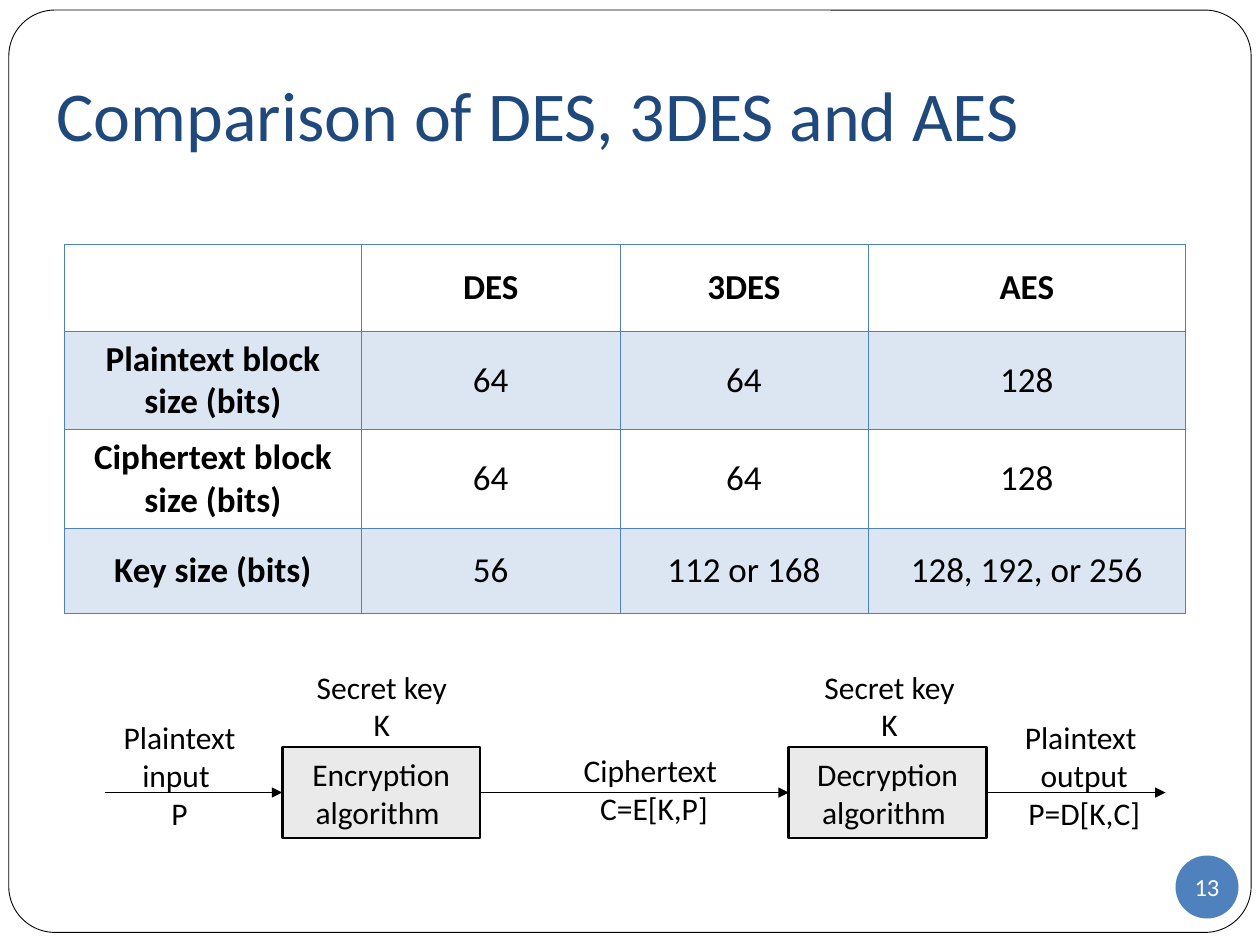
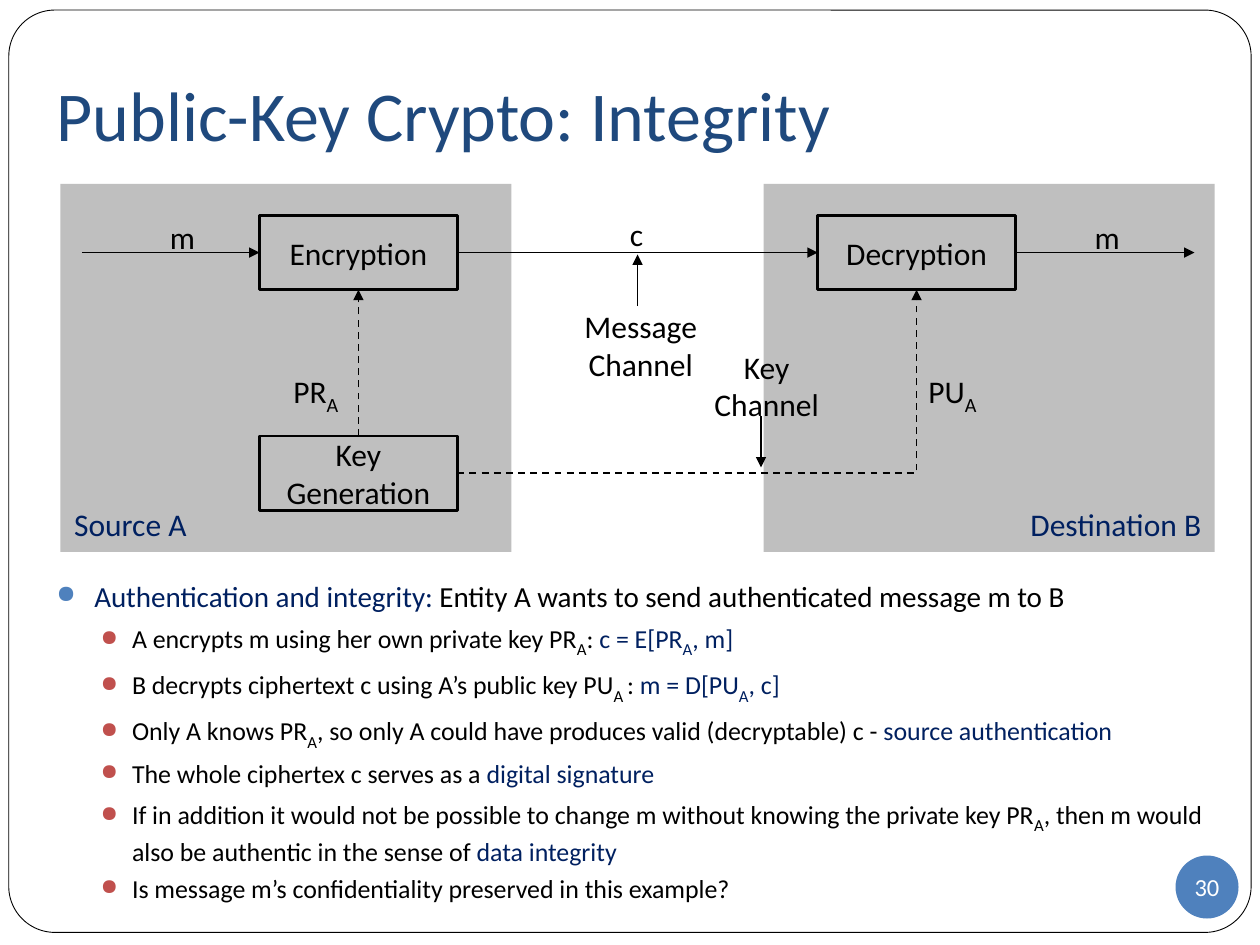
from dataclasses import dataclass
from itertools import product

from lxml import etree
from pptx import Presentation
from pptx import util as u
from pptx.dml.color import RGBColor
from pptx.enum import dml, shapes, text
from pptx.oxml import ns

BLACK = RGBColor(0x00, 0x00, 0x00)
WHITE = RGBColor(0xFF, 0xFF, 0xFF)
TITLE_BLUE = RGBColor(0x1F, 0x49, 0x7D)
BLUE = RGBColor(0x4F, 0x81, 0xBD)
PALE_BLUE = RGBColor(0xDC, 0xE6, 0xF2)
NAVY = RGBColor(0x00, 0x20, 0x60)
RED = RGBColor(0xC0, 0x50, 0x4D)
GRAY = RGBColor(0xBF, 0xBF, 0xBF)
LIGHT_GRAY = RGBColor(0xEA, 0xEA, 0xEA)

FONT = "Calibri"
COLUMNS, ROWS = 100, 75
LEFT, CENTER = text.PP_ALIGN.LEFT, text.PP_ALIGN.CENTER
TOP, LEFT_SIDE, BOTTOM, RIGHT_SIDE = range(4)


@dataclass
class Run:
    words: str
    color: RGBColor = BLACK
    sub: bool = False


def sub(words, color=BLACK):
    return Run(words, color, True)


def navy(words):
    return Run(words, NAVY)


def add_xml(parent, tag, **attributes):
    return etree.SubElement(parent, ns.qn(tag), attributes)


class Deck:
    """Holds the style, the grid and the current slide."""

    def __init__(self):
        self.prs = Presentation()
        self.prs.slide_width, self.prs.slide_height = u.Inches(10), u.Inches(7.5)
        self.slide = None

    def grid(self, x, y, *size):
        """Turn columns and rows into slide lengths."""
        units = (self.prs.slide_width / COLUMNS, self.prs.slide_height / ROWS) * 2
        return [u.Emu(round(n * unit)) for n, unit in zip((x, y, *size), units)]

    def new_slide(self, heading, number):
        self.slide = self.prs.slides.add_slide(self.prs.slide_layouts[5])
        title = self.slide.shapes.title
        title.left, title.top, title.width, title.height = self.grid(3.5, 3, 93.7, 12.5)
        frame = title.text_frame
        frame.vertical_anchor = text.MSO_ANCHOR.MIDDLE
        frame.auto_size = text.MSO_AUTO_SIZE.NONE
        frame.margin_bottom = u.Inches(0.1)
        self.add_runs(frame.paragraphs[0], [Run(heading, TITLE_BLUE)], 40, LEFT)

        border = self.shape((0.7, 0.8, 98.6, 73.2), WHITE, 0.5,
                            kind=shapes.MSO_SHAPE.ROUNDED_RECTANGLE)
        border.adjustments[0] = 0.05
        title.element.addprevious(border.element)

        badge = self.shape((93.3, 67.9, 5, 5), BLUE, kind=shapes.MSO_SHAPE.OVAL)
        badge.text_frame.word_wrap = False
        self.add_runs(badge.text_frame.paragraphs[0], [Run(number, WHITE)], 14)

    def add_runs(self, paragraph, runs, size=18, align=CENTER, bold=False):
        paragraph.alignment = align
        for part in runs:
            run = paragraph.add_run()
            run.text = part.words
            font = run.font
            font.name, font.bold = FONT, bold
            font.color.rgb = part.color
            font.size = u.Pt(size)
            if part.sub:
                font.size = u.Pt(size + 1.8)
                run._r.get_or_add_rPr().set("baseline", "-25000")

    def shape(self, area, fill=None, line=None, kind=shapes.MSO_SHAPE.RECTANGLE):
        item = self.slide.shapes.add_shape(kind, *self.grid(*area))
        item.shadow.inherit = False
        if fill is None:
            item.fill.background()
        else:
            item.fill.solid()
            item.fill.fore_color.rgb = fill
        if line is None:
            item.line.fill.background()
        else:
            item.line.color.rgb = BLACK
            item.line.width = u.Pt(line)
        return item

    def box(self, words, x, y, height, fill=None):
        item = self.shape((x, y, 15.7, height), fill, 1.5)
        item.text_frame.word_wrap = True
        item.text_frame.vertical_anchor = text.MSO_ANCHOR.MIDDLE
        self.add_runs(item.text_frame.paragraphs[0], [Run(words)])
        return item

    def label(self, area, *lines, align=CENTER, wrap=False):
        """Each line is a list of runs, or plain words."""
        frame = self.slide.shapes.add_textbox(*self.grid(*area)).text_frame
        frame.word_wrap = wrap
        frame.auto_size = text.MSO_AUTO_SIZE.SHAPE_TO_FIT_TEXT
        for i, line in enumerate(lines):
            paragraph = frame.add_paragraph() if i else frame.paragraphs[0]
            runs = [Run(line)] if isinstance(line, str) else line
            self.add_runs(paragraph, runs, align=align)

    def arrow(self, start, end, width=1.0, dashed=False, corner=False):
        """Each end is a grid point or a pair of shape and side."""
        kind = shapes.MSO_CONNECTOR.ELBOW if corner else shapes.MSO_CONNECTOR.STRAIGHT
        points = [(0, 0) if hasattr(p[0], "shape_id") else self.grid(*p)
                  for p in (start, end)]
        item = self.slide.shapes.add_connector(kind, *points[0], *points[1])
        if hasattr(start[0], "shape_id"):
            item.begin_connect(*start)
        if hasattr(end[0], "shape_id"):
            item.end_connect(*end)
        if corner:
            item.element.spPr.find(ns.qn("a:prstGeom")).set("prst", "bentConnector2")
        item.line.color.rgb = BLACK
        item.line.width = u.Pt(width)
        if dashed:
            item.line.dash_style = dml.MSO_LINE.DASH
        add_xml(item.line._get_or_add_ln(), "a:tailEnd", type="triangle")
        add_xml(item.element.spPr, "a:effectLst")

    def table(self, corner, widths, heights, rows):
        area = (*corner, sum(widths), sum(heights))
        table = self.slide.shapes.add_table(
            len(heights), len(widths), *self.grid(*area)).table
        table.first_row = table.horz_banding = False
        for column, width in zip(table.columns, widths):
            column.width = self.grid(width, 0)[0]
        for row, height in zip(table.rows, heights):
            row.height = self.grid(0, height)[1]
        for r, c in product(range(len(heights)), range(len(widths))):
            cell = table.cell(r, c)
            cell.vertical_anchor = text.MSO_ANCHOR.MIDDLE
            self.cell_borders(cell)
            if r % 2:
                cell.fill.solid()
                cell.fill.fore_color.rgb = PALE_BLUE
            else:
                cell.fill.background()
            if rows[r][c]:
                self.add_runs(cell.text_frame.paragraphs[0], [Run(rows[r][c])], 20,
                              bold=r == 0 or c == 0)

    def cell_borders(self, cell):
        for side in "LRTB":
            edge = add_xml(cell._tc.get_or_add_tcPr(), f"a:ln{side}",
                           w=str(u.Pt(0.45)))
            add_xml(add_xml(edge, "a:solidFill"), "a:srgbClr", val=str(BLUE))

    def bullets(self, area, items):
        """The first item leads; the others sit one level lower."""
        frame = self.slide.shapes.add_textbox(*self.grid(*area)).text_frame
        frame.word_wrap = True
        for i, runs in enumerate(items):
            paragraph = frame.add_paragraph() if i else frame.paragraphs[0]
            left, hang, color, size = (0.6, 0.25, RED, 14.8) if i else (0.3, 0.3, BLUE, 16.6)
            props = paragraph._p.get_or_add_pPr()
            props.set("marL", str(u.Inches(left)))
            props.set("indent", str(-u.Inches(hang)))
            add_xml(add_xml(props, "a:buClr"), "a:srgbClr", val=str(color))
            add_xml(props, "a:buSzPct", val="85000")
            add_xml(props, "a:buChar", char="●")
            if i:
                paragraph.level = 1
                paragraph.space_before = u.Pt(3.7)
            self.add_runs(paragraph, runs, size, LEFT)


def comparison_slide(deck):
    deck.new_slide("Comparison of DES, 3DES and AES", "13")
    deck.table((5.1, 19.4), (23.6, 20.5, 19.7, 25.2), (6.9, 7.8, 7.8, 6.8), [
        ("", "DES", "3DES", "AES"),
        ("Plaintext block size (bits)", "64", "64", "128"),
        ("Ciphertext block size (bits)", "64", "64", "128"),
        ("Key size (bits)", "56", "112 or 168", "128, 192, or 256"),
    ])

    # Symmetric cipher flow
    flow_y = 62.9
    encryption, decryption = [
        deck.box(f"{name} algorithm ", x, flow_y - 3.6, 7.2, LIGHT_GRAY)
        for name, x in (("Encryption", 22.4), ("Decryption", 62.6))]
    deck.arrow((8.3, flow_y), (encryption, LEFT_SIDE), 0.75)
    deck.arrow((encryption, RIGHT_SIDE), (decryption, LEFT_SIDE), 0.75)
    deck.arrow((decryption, RIGHT_SIDE), (92.5, flow_y), 0.75)
    deck.label((8.8, 56.5, 10.9, 10), "Plaintext", "input ", "P")
    deck.label((45.3, 59.1, 13.2, 7), "Ciphertext ", "C=E[K,P]")
    deck.label((80.3, 56.5, 11.5, 10), "Plaintext ", "output", "P=D[K,C]")
    for key_x in (23.2, 63.5):
        deck.label((key_x, 52.5, 14.2, 7), "Secret key", "K", wrap=True)


def integrity_slide(deck):
    deck.new_slide("Public-Key Crypto: Integrity", "30")
    deck.bullets((3.5, 45.4, 93.7, 26.8), [
        [navy("Authentication and integrity: "),
         Run("Entity A wants to send authenticated message m to B")],
        [Run("A encrypts m using her own private key PR"), sub("A"), Run(": "),
         navy("c = E[PR"), sub("A", NAVY), navy(", m]")],
        [Run("B decrypts ciphertext c using A’s public key PU"), sub("A "), Run(": "),
         navy("m = D[PU"), sub("A", NAVY), navy(", c]")],
        [Run("Only A knows PR"), sub("A"),
         Run(", so only A could have produces valid (decryptable) c - "),
         navy("source authentication")],
        [Run("The whole ciphertex c serves as a "), navy("digital signature")],
        [Run("If in addition it would not be possible to change m without knowing "
             "the private key PR"), sub("A"),
         Run(", then m would also be authentic in the sense of "),
         navy("data integrity")],
        [Run("Is message m’s confidentiality preserved in this example?")],
    ])

    # Source and destination zones with their boxes
    for zone_x in (60.6, 4.8):
        deck.shape((zone_x, 14.6, 35.8, 29.2), GRAY)
    encryption = deck.box("Encryption", 20.6, 17.1, 5.9)
    decryption = deck.box("Decryption", 64.9, 17.1, 5.9)
    key_generation = deck.box("Key Generation", 20.6, 34.6, 5.9)

    # Message path
    message_y = 20.05
    deck.arrow((6.5, message_y), (encryption, LEFT_SIDE))
    deck.arrow((encryption, RIGHT_SIDE), (decryption, LEFT_SIDE))
    deck.arrow((decryption, RIGHT_SIDE), (94.8, message_y))
    deck.label((12.5, 16.8, 4, 4), "m", align=LEFT)
    deck.label((49, 16.6, 3, 4), "c", align=LEFT)
    deck.label((85.9, 16.8, 4, 4), "m", align=LEFT)

    # Key path
    deck.arrow((key_generation, TOP), (encryption, BOTTOM), dashed=True)
    deck.arrow((key_generation, RIGHT_SIDE), (decryption, BOTTOM),
               dashed=True, corner=True)
    for key, key_x in (("PR", 22.3), ("PU", 72.7)):
        deck.label((key_x, 28.8, 6.4, 4.8), [Run(key), sub("A")], align=LEFT, wrap=True)

    # Channel and zone names
    deck.label((45.4, 23.9, 10.9, 7), "Message", "Channel")
    deck.arrow((50.6, 24.3), (50.6, 20.2), 0.75)
    deck.label((55.7, 27.1, 10.3, 7), "Key", "Channel")
    deck.arrow((60.4, 33), (60.4, 37.1), 0.75)
    deck.label((4.9, 39.6, 10.9, 4), [navy("Source A")], align=LEFT)
    deck.label((80.8, 39.6, 15.6, 4), [navy("Destination B")], align=LEFT)


def main():
    deck = Deck()
    comparison_slide(deck)
    integrity_slide(deck)
    deck.prs.save("out.pptx")


if __name__ == "__main__":
    main()
